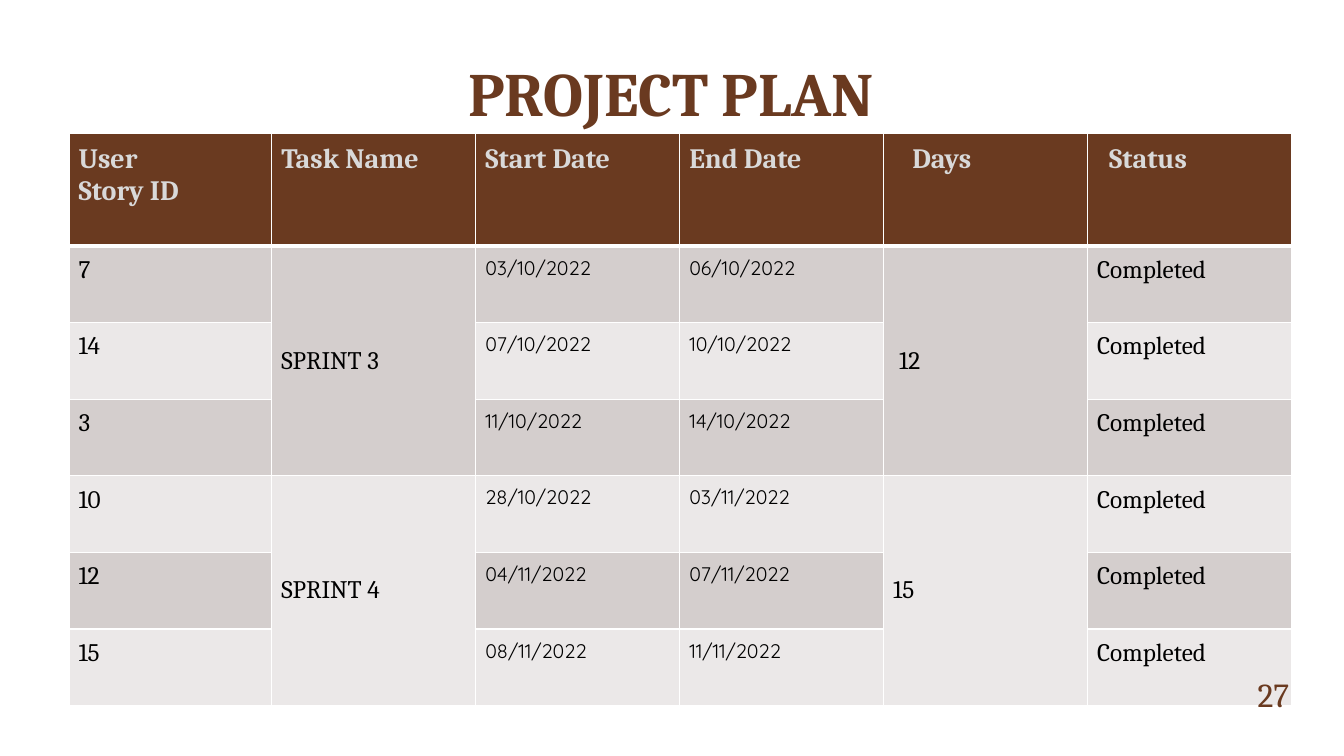
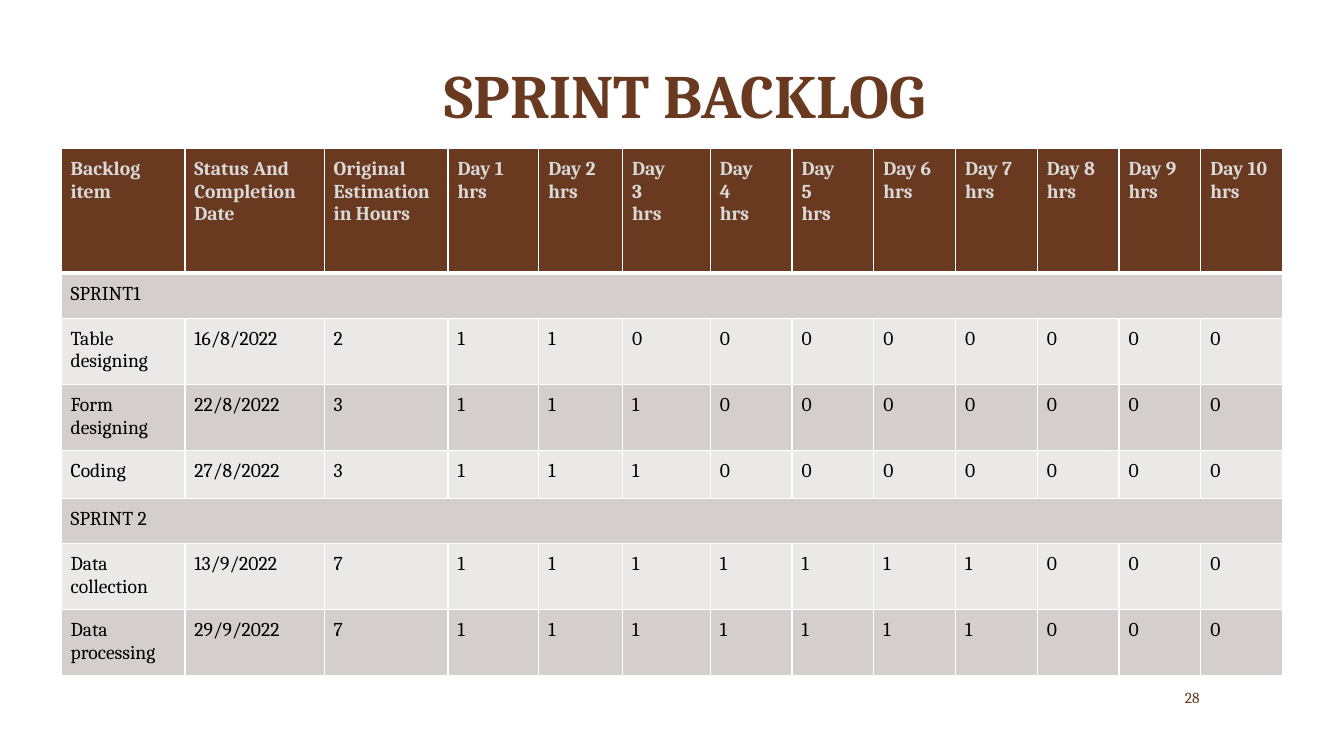
from lxml.etree import SubElement
from pptx import Presentation
from pptx.dml.color import RGBColor
from pptx.enum.text import MSO_ANCHOR, PP_ALIGN
from pptx.oxml.ns import qn
from pptx.util import Cm, Pt

BROWN = RGBColor(0x6A, 0x3A, 0x20)
HEADER_GREY = RGBColor(0xD9, 0xD9, 0xD9)
DARK_BAND = RGBColor(0xD4, 0xCE, 0xCD)
LIGHT_BAND = RGBColor(0xEB, 0xE8, 0xE8)
BLACK = RGBColor(0, 0, 0)
WHITE = RGBColor(0xFF, 0xFF, 0xFF)

TITLE = {"name": "Cambria", "size": Pt(44), "bold": True}
PAD = Cm(0.24)
PADDING = {"margin_left": PAD, "margin_right": PAD, "margin_top": PAD, "margin_bottom": PAD}


def write(frame, text, color, font, align=PP_ALIGN.LEFT):
    frame.word_wrap = True
    frame.text = text
    for paragraph in frame.paragraphs:
        paragraph.alignment = align
        for run in paragraph.runs:
            run.font.color.rgb = color
            for attribute, value in font.items():
                setattr(run.font, attribute, value)


def add_grid(slide, left, top, widths, heights, rows, header_font, column_fonts):
    grid = slide.shapes.add_table(
        len(rows), len(widths), Cm(left), Cm(top), Cm(sum(widths)), Cm(sum(heights))
    ).table
    grid.horz_banding = False
    for column, width in zip(grid.columns, widths):
        column.width = Cm(width)
    for r, (row, height) in enumerate(zip(rows, heights)):
        grid.rows[r].height = Cm(height)
        for c, text in enumerate(row):
            cell = grid.cell(r, c)
            for attribute, value in PADDING.items():
                setattr(cell, attribute, value)
            thickness = {"L": 1, "R": 1, "T": 3 if r == 1 else 1, "B": 3 if r == 0 else 1}
            for side, points in thickness.items():
                border = SubElement(cell._tc.get_or_add_tcPr(), qn(f"a:ln{side}"), w=str(Pt(points)))
                SubElement(SubElement(border, qn("a:solidFill")), qn("a:srgbClr"), val=str(WHITE))
            cell.fill.solid()
            if r == 0:
                cell.fill.fore_color.rgb = BROWN
                write(cell.text_frame, text, HEADER_GREY, header_font)
            else:
                cell.fill.fore_color.rgb = DARK_BAND if r % 2 else LIGHT_BAND
                write(cell.text_frame, text, BLACK, column_fonts[c])
    return grid


presentation = Presentation()
presentation.slide_width = Cm(33.87)
presentation.slide_height = Cm(19.05)
blank = presentation.slide_layouts[6]
plan, backlog = [presentation.slides.add_slide(blank) for _ in range(2)]

body = {"name": "Cambria", "size": Pt(18), "bold": False}
date = {"name": "Quicksand", "size": Pt(14), "bold": False}
plan_rows = [
    ["User\nStory ID", "Task Name", "Start Date", "End Date", "Days", "Status"],
    ["7", "SPRINT 3", "03/10/2022", "06/10/2022", "12", "Completed"],
    ["14", "", "07/10/2022", "10/10/2022", "", "Completed"],
    ["3", "", "11/10/2022", "14/10/2022", "", "Completed"],
    ["10", "SPRINT 4", "28/10/2022", "03/11/2022", "15", "Completed"],
    ["12", "", "04/11/2022", "07/11/2022", "", "Completed"],
    ["15", "", "08/11/2022", "11/11/2022", "", "Completed"],
]
plan_grid = add_grid(
    plan, 1.74, 3.36, [5.11] + [5.14] * 5, [2.84] + [1.93] * 6, plan_rows,
    {"name": "Cambria", "size": Pt(20), "bold": True},
    [body, body, date, date, body, body],
)
for first_row in (1, 4):
    for column in (1, 4):
        sprint = plan_grid.cell(first_row, column)
        sprint.merge(plan_grid.cell(first_row + 2, column))
        sprint.vertical_anchor = MSO_ANCHOR.MIDDLE
for row, column, indent in [(0, 4, 0.48), (0, 5, 0.3), (1, 4, 0.15)]:
    plan_grid.cell(row, column).margin_left = PAD + Cm(indent)

DAYS = 10
stacked_days = (3, 4, 5)
day_heads = [f"Day\n{d}\nhrs" if d in stacked_days else f"Day {d}\nhrs" for d in range(1, DAYS + 1)]
backlog_rows = [["Backlog item", "Status And Completion Date", "Original Estimation in Hours"] + day_heads]
sprints = {
    "SPRINT1": [
        ("Table designing", "16/8/2022", 2),
        ("Form designing", "22/8/2022", 3),
        ("Coding", "27/8/2022", 3),
    ],
    "SPRINT 2": [
        ("Data collection", "13/9/2022", 7),
        ("Data processing", "29/9/2022", 7),
    ],
}
sprint_rows = []
for sprint_name, items in sprints.items():
    sprint_rows.append(len(backlog_rows))
    backlog_rows.append([sprint_name] + [""] * (DAYS + 2))
    for item, completed, hours in items:
        backlog_rows.append([item, completed, str(hours)] + ["1"] * hours + ["0"] * (DAYS - hours))

small = {"name": "Cambria", "size": Pt(14), "bold": False}
backlog_grid = add_grid(
    backlog, 1.54, 3.74,
    [3.12, 3.51, 3.12, 2.29, 2.11, 2.21] + [2.06] * 7,
    [3.14, 1.14, 1.52, 1.52, 1.2, 1.14, 1.52, 1.52],
    backlog_rows, {**small, "bold": True}, [small] * (DAYS + 3),
)
for row in sprint_rows:
    backlog_grid.cell(row, 0).merge(backlog_grid.cell(row, DAYS + 2))

number = {"name": "Cambria", "size": Pt(24)}
labels = [
    (plan, "PROJECT PLAN", (3.38, 0.64, 27.08, 2.72), TITLE, PP_ALIGN.CENTER, MSO_ANCHOR.BOTTOM),
    (plan, "27", (30.76, 17.07, 1.98, 0.84), number, PP_ALIGN.RIGHT, MSO_ANCHOR.MIDDLE),
    (backlog, "SPRINT BACKLOG", (3.73, 0.91, 27.08, 2.52), TITLE, PP_ALIGN.CENTER, MSO_ANCHOR.BOTTOM),
    (backlog, "28", (28.5, 17.15, 1.98, 0.84), {**number, "size": Pt(11)}, PP_ALIGN.RIGHT, MSO_ANCHOR.MIDDLE),
]
for slide, text, box, font, align, anchor in labels:
    frame = slide.shapes.add_textbox(*map(Cm, box)).text_frame
    frame.vertical_anchor = anchor
    write(frame, text, BROWN, font, align)

presentation.save("out.pptx")
